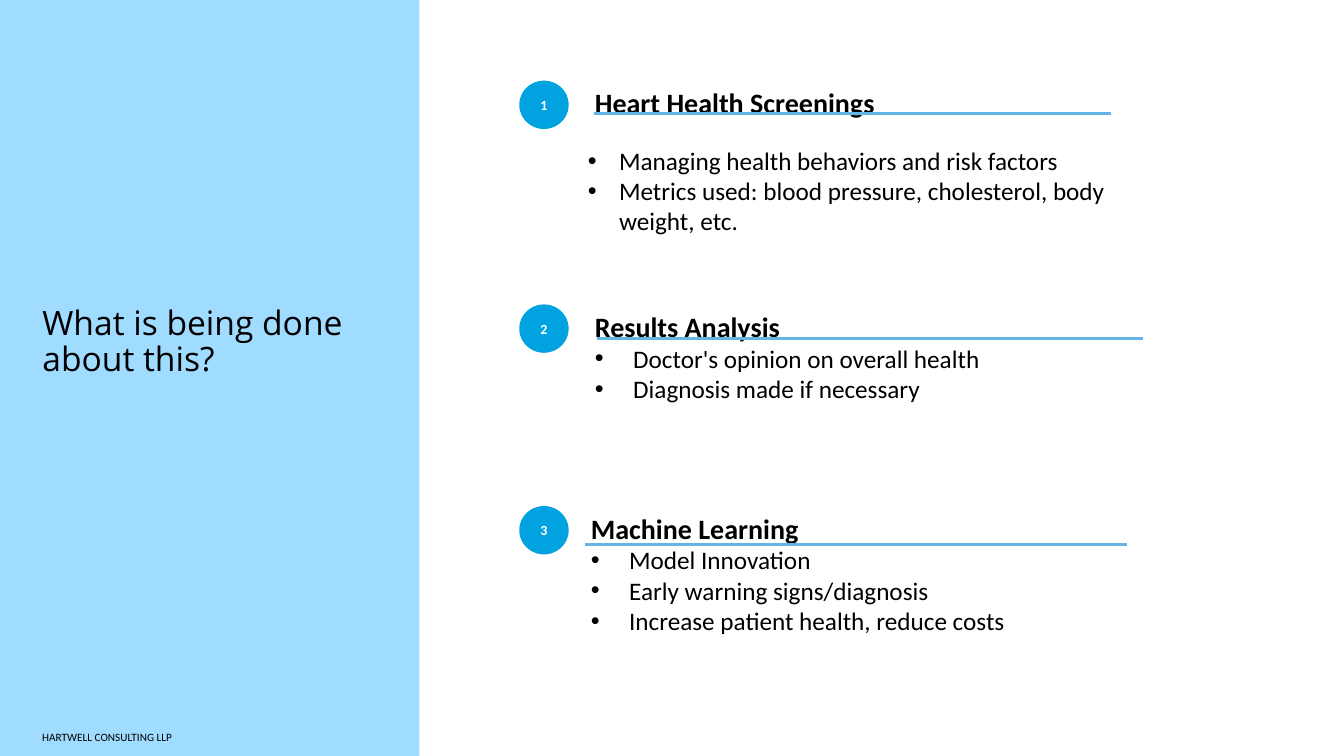
from dataclasses import dataclass

import lxml.etree
import pptx
import pptx.dml.color
import pptx.enum.shapes
import pptx.enum.text
import pptx.oxml.ns
import pptx.shapes.autoshape
import pptx.slide
import pptx.text.text
import pptx.util

Inches = pptx.util.Inches
ANCHOR = pptx.enum.text.MSO_ANCHOR
ALIGN = pptx.enum.text.PP_ALIGN
AUTO_SIZE = pptx.enum.text.MSO_AUTO_SIZE
SHAPE = pptx.enum.shapes.MSO_SHAPE


@dataclass(frozen=True)
class Theme:
    panel: str = "A0DCFF"
    badge: str = "00A3E0"
    rule: str = "62B5E5"
    ink: str = "000000"
    white: str = "FFFFFF"
    title_font: str = "Open Sans"
    body_font: str = "Calibri"
    title_size: float = 24
    heading_size: float = 20
    bullet_size: float = 18
    badge_size: float = 10
    footer_size: float = 8
    rule_width: float = 2.25


THEME = Theme()


@dataclass(frozen=True)
class Box:
    left: float
    top: float
    width: float
    height: float


@dataclass(frozen=True)
class Step:
    badge_top: float
    rule_left: float
    rule_right: float
    rule_top: float


@dataclass(frozen=True)
class TextBlock:
    box: Box
    heading: str
    bullets: tuple[str, ...]
    indent: float = 0.38


STEPS = (
    Step(0.8, 5.89, 11.02, 1.13),
    Step(3.02, 5.92, 11.34, 3.36),
    Step(5.02, 5.8, 11.18, 5.4),
)

TEXT_BLOCKS = (
    TextBlock(Box(5.8, 0.8, 5.74, 0.44), "Heart Health Screenings", ()),
    TextBlock(Box(5.73, 1.39, 5.36, 1.01), "", (
        "Managing health behaviors and risk factors",
        "Metrics used: blood pressure, cholesterol, body weight, etc.",
    ), indent=0.31),
    TextBlock(Box(5.8, 3.02, 5.94, 1.04), "Results Analysis", (
        "Doctor's opinion on overall health",
        "Diagnosis made if necessary",
    )),
    TextBlock(Box(5.76, 5.02, 6.08, 1.65), "Machine Learning", (
        "Model Innovation",
        "Early warning signs/diagnosis",
        "Increase patient health, reduce costs",
    )),
)


def rgb(color: str) -> pptx.dml.color.RGBColor:
    return pptx.dml.color.RGBColor.from_string(color)


def place(shape: pptx.shapes.autoshape.Shape, box: Box) -> None:
    shape.left, shape.top = Inches(box.left), Inches(box.top)
    shape.width, shape.height = Inches(box.width), Inches(box.height)


def write(paragraph: pptx.text.text._Paragraph, text: str, *, size: float,
          font: str = THEME.body_font, color: str = THEME.ink, bold: bool = False,
          align: ALIGN = ALIGN.LEFT, line_spacing: float = 1.0,
          bullet_indent: float = 0) -> None:
    """Write formatted text; a bullet indent above zero adds a bullet."""
    paragraph.alignment = align
    paragraph.line_spacing = line_spacing
    paragraph.space_before = paragraph.space_after = pptx.util.Pt(0)
    properties = paragraph._p.get_or_add_pPr()
    properties.set("marL", str(Inches(bullet_indent)))
    properties.set("indent", str(-Inches(bullet_indent)))
    qualified = pptx.oxml.ns.qn
    if bullet_indent:
        lxml.etree.SubElement(properties, qualified("a:buFont"), typeface="Arial")
        lxml.etree.SubElement(properties, qualified("a:buChar"), char="•")
    else:
        lxml.etree.SubElement(properties, qualified("a:buNone"))
    run = paragraph.add_run()
    run.text = text
    run.font.name, run.font.size = font, pptx.util.Pt(size)
    run.font.bold, run.font.color.rgb = bold, rgb(color)


def add_filled_shape(slide: pptx.slide.Slide, kind: SHAPE, box: Box,
                     color: str) -> pptx.shapes.autoshape.Shape:
    shape = slide.shapes.add_shape(kind, 0, 0, 0, 0)
    place(shape, box)
    shape.shadow.inherit = False
    shape.fill.solid()
    shape.fill.fore_color.rgb = rgb(color)
    shape.line.fill.background()
    return shape


def format_title(title: pptx.shapes.autoshape.Shape) -> None:
    place(title, Box(0.42, 2.99, 3.66, 2.18))
    frame = title.text_frame
    frame.margin_left = frame.margin_right = frame.margin_bottom = 0
    frame.margin_top = Inches(0.05)
    frame.vertical_anchor = ANCHOR.TOP
    frame.auto_size = AUTO_SIZE.NONE
    write(frame.paragraphs[0], "What is being done about this?",
          size=THEME.title_size, font=THEME.title_font, line_spacing=0.9)


def fill_text_block(placeholder: pptx.shapes.autoshape.Shape, block: TextBlock) -> None:
    place(placeholder, block.box)
    frame = placeholder.text_frame
    frame.vertical_anchor = ANCHOR.TOP
    frame.auto_size = AUTO_SIZE.SHAPE_TO_FIT_TEXT
    paragraph = frame.paragraphs[0]
    if block.heading:
        write(paragraph, block.heading, size=THEME.heading_size, bold=True)
    for index, bullet in enumerate(block.bullets):
        if index or block.heading:
            paragraph = frame.add_paragraph()
        write(paragraph, bullet, size=THEME.bullet_size, bullet_indent=block.indent)


def add_step(slide: pptx.slide.Slide, number: int, step: Step) -> None:
    """Add the numbered badge and the rule under the heading."""
    badge = add_filled_shape(slide, SHAPE.OVAL, Box(5.15, step.badge_top, 0.49, 0.48),
                             THEME.badge)
    frame = badge.text_frame
    frame.margin_left = frame.margin_right = frame.margin_top = frame.margin_bottom = 0
    frame.vertical_anchor = ANCHOR.MIDDLE
    write(frame.paragraphs[0], str(number), size=THEME.badge_size,
          color=THEME.white, bold=True, align=ALIGN.CENTER)
    rule = slide.shapes.add_connector(
        pptx.enum.shapes.MSO_CONNECTOR.STRAIGHT,
        Inches(step.rule_left), Inches(step.rule_top),
        Inches(step.rule_right), Inches(step.rule_top))
    rule.line.color.rgb = rgb(THEME.rule)
    rule.line.width = pptx.util.Pt(THEME.rule_width)
    lxml.etree.SubElement(rule.element.spPr, pptx.oxml.ns.qn("a:effectLst"))


def add_footer(slide: pptx.slide.Slide) -> None:
    footer = slide.shapes.add_textbox(Inches(0.32), Inches(7.2), Inches(4.65), Inches(0.24))
    footer.text_frame.word_wrap = True
    write(footer.text_frame.paragraphs[0], "HARTWELL CONSULTING LLP",
          size=THEME.footer_size)


def main() -> None:
    presentation = pptx.Presentation()
    presentation.slide_width, presentation.slide_height = Inches(13.33), Inches(7.5)
    comparison_layout = presentation.slide_layouts[4]
    slide = presentation.slides.add_slide(comparison_layout)
    title, *bodies = slide.placeholders
    panel = add_filled_shape(slide, SHAPE.RECTANGLE, Box(-0.02, 0, 4.18, 7.51), THEME.panel)
    title.element.addprevious(panel.element)
    format_title(title)
    for placeholder, block in zip(bodies, TEXT_BLOCKS):
        fill_text_block(placeholder, block)
    for number, step in enumerate(STEPS, start=1):
        add_step(slide, number, step)
    add_footer(slide)
    presentation.save("out.pptx")


if __name__ == "__main__":
    main()
